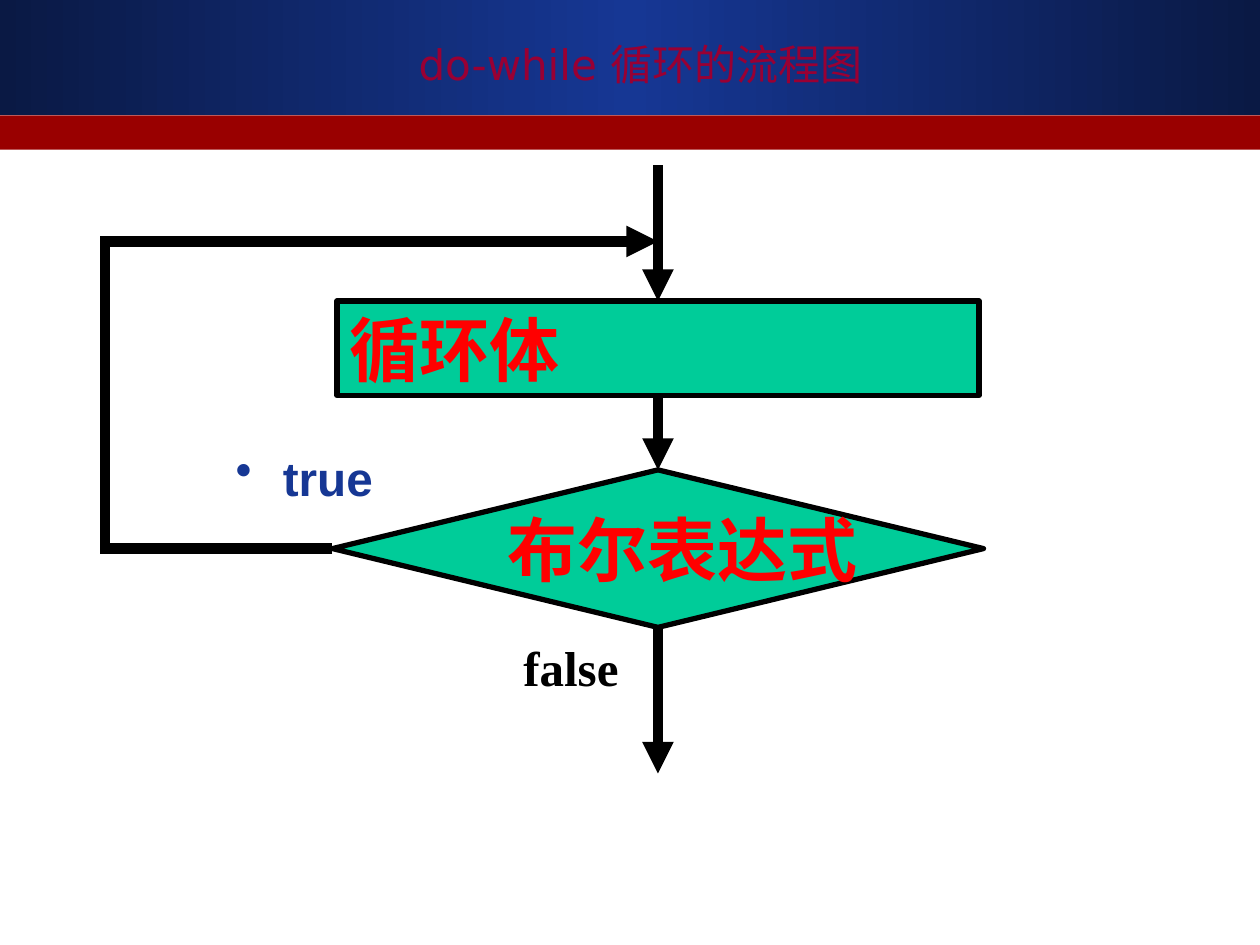
from dataclasses import dataclass

import pptx
import pptx.dml.color
import pptx.enum.shapes
import pptx.enum.text
import pptx.oxml.ns
import pptx.util
from lxml import etree

Pt = pptx.util.Pt
qn = pptx.oxml.ns.qn
RGB = pptx.dml.color.RGBColor.from_string
SHAPE = pptx.enum.shapes.MSO_SHAPE
ANCHOR = pptx.enum.text.MSO_ANCHOR
ALIGN = pptx.enum.text.PP_ALIGN
TOP, LEFT, BOTTOM = 0, 1, 2


@dataclass(frozen=True)
class Theme:
    navy_dark: str = "0A1944"
    navy: str = "163794"
    red_band: str = "990000"
    title: str = "990033"
    node: str = "00CC99"
    node_text: str = "FF0000"
    ink: str = "000000"
    title_size: float = 24
    node_size: float = 40
    true_size: float = 27.2
    false_size: float = 28
    outline: float = 3
    flow: float = 6
    title_font: str = "DejaVu Sans"
    sans: str = "Arial"
    serif: str = "Times New Roman"


class FlowSlide:
    def __init__(self, slide, theme):
        self.slide = slide
        self.theme = theme

    def set_text(self, frame, text, font, size, color, bold=True):
        paragraph = frame.paragraphs[0]
        paragraph.text = text
        paragraph.font.name = font
        paragraph.font.size = Pt(size)
        paragraph.font.bold = bold
        paragraph.font.color.rgb = RGB(color)
        return paragraph

    def band(self, top, height, *colors):
        band = self.slide.shapes.add_shape(
            SHAPE.RECTANGLE, 0, Pt(top), Pt(720), Pt(height))
        band.shadow.inherit = False
        band.line.fill.background()
        if len(colors) == 1:
            band.fill.solid()
            band.fill.fore_color.rgb = RGB(colors[0])
            return
        band.fill.gradient()
        band.fill.gradient_angle = 0
        stops = band._element.spPr.find(qn("a:gradFill")).find(qn("a:gsLst"))
        for stop in list(stops):
            stops.remove(stop)
        for i, color in enumerate(colors):
            position = str(100000 * i // (len(colors) - 1))
            stop = etree.SubElement(stops, qn("a:gs"), pos=position)
            etree.SubElement(stop, qn("a:srgbClr"), val=color)

    def title(self, text, left, top, width, height):
        box = self.slide.shapes.add_textbox(Pt(left), Pt(top), Pt(width), Pt(height))
        frame = box.text_frame
        frame.word_wrap = True
        frame.vertical_anchor = ANCHOR.MIDDLE
        frame.margin_left = frame.margin_right = 0
        frame.margin_top = frame.margin_bottom = 0
        paragraph = self.set_text(frame, text, self.theme.title_font,
                                  self.theme.title_size, self.theme.title, bold=False)
        paragraph.alignment = ALIGN.CENTER

    def label(self, text, left, top, font, size, color, bullet=None):
        box = self.slide.shapes.add_textbox(Pt(left), Pt(top), Pt(96), Pt(40))
        frame = box.text_frame
        frame.word_wrap = True
        paragraph = frame.paragraphs[0]
        paragraph.line_spacing = 0.8
        if bullet:
            properties = paragraph._p.get_or_add_pPr()
            properties.set("marL", str(Pt(27)))
            properties.set("indent", str(-Pt(27)))
            etree.SubElement(properties, qn("a:buChar"), char=bullet)
        self.set_text(frame, text, font, size, color)

    def node(self, kind, text, axis, top, width, height):
        node = self.slide.shapes.add_shape(
            kind, Pt(axis - width / 2), Pt(top), Pt(width), Pt(height))
        node.shadow.inherit = False
        node.fill.solid()
        node.fill.fore_color.rgb = RGB(self.theme.node)
        node.line.color.rgb = RGB(self.theme.ink)
        node.line.width = Pt(self.theme.outline)
        frame = node.text_frame
        frame.word_wrap = False
        frame.vertical_anchor = ANCHOR.MIDDLE
        paragraph = self.set_text(frame, text, self.theme.serif,
                                  self.theme.node_size, self.theme.node_text)
        paragraph.alignment = ALIGN.LEFT
        return node

    def flow(self, start, end, arrow=True, source=None, target=None):
        line = self.slide.shapes.add_connector(
            pptx.enum.shapes.MSO_CONNECTOR.STRAIGHT,
            *(Pt(value) for value in (*start, *end)))
        if source:
            line.begin_connect(*source)
        if target:
            line.end_connect(*target)
        line.line.color.rgb = RGB(self.theme.ink)
        line.line.width = Pt(self.theme.flow)
        properties = line._element.spPr
        if arrow:
            etree.SubElement(properties.find(qn("a:ln")), qn("a:tailEnd"), type="triangle")
        etree.SubElement(properties, qn("a:effectLst"))


def main():
    deck = pptx.Presentation()
    deck.slide_width, deck.slide_height = Pt(720), Pt(540)
    theme = Theme()
    page = FlowSlide(deck.slides.add_slide(deck.slide_layouts[6]), theme)

    # Header
    page.band(0, 65.5, theme.navy_dark, theme.navy, theme.navy_dark)
    page.band(66, 19.5, theme.red_band)
    page.title("do-while 循环的流程图", 52, 21.5, 628, 30)

    # Loop body and condition, centred on one axis
    axis = 376
    body_top, body_bottom = 172, 226
    test_top, test_width, test_height = 268.5, 372, 90
    test_middle = test_top + test_height / 2
    test_bottom = test_top + test_height
    loop_body = page.node(SHAPE.FLOWCHART_PROCESS, "循环体",
                          axis, body_top, 367, body_bottom - body_top)
    condition = page.node(SHAPE.FLOWCHART_DECISION, "布尔表达式",
                          axis, test_top, test_width, test_height)

    # Downward flow
    page.flow((axis, body_bottom), (axis, test_top),
              source=(loop_body, BOTTOM), target=(condition, TOP))
    page.flow((axis, 94.5), (axis, body_top), target=(loop_body, TOP))
    page.flow((axis, test_bottom), (axis, 442), source=(condition, BOTTOM))

    # Return path, with the upright covering both corners
    return_x, return_y = 60, 138
    corner = theme.flow / 2
    page.flow((axis - test_width / 2, test_middle), (return_x, test_middle),
              arrow=False, source=(condition, LEFT))
    page.flow((return_x, test_middle + corner), (return_x, return_y - corner), arrow=False)
    page.flow((return_x, return_y), (axis, return_y))

    # Branch labels
    page.label("true", 127.5, 259, theme.sans, theme.true_size, theme.navy, bullet="•")
    page.label("false", 292, 367.5, theme.serif, theme.false_size, theme.ink)

    deck.save("out.pptx")


if __name__ == "__main__":
    main()
